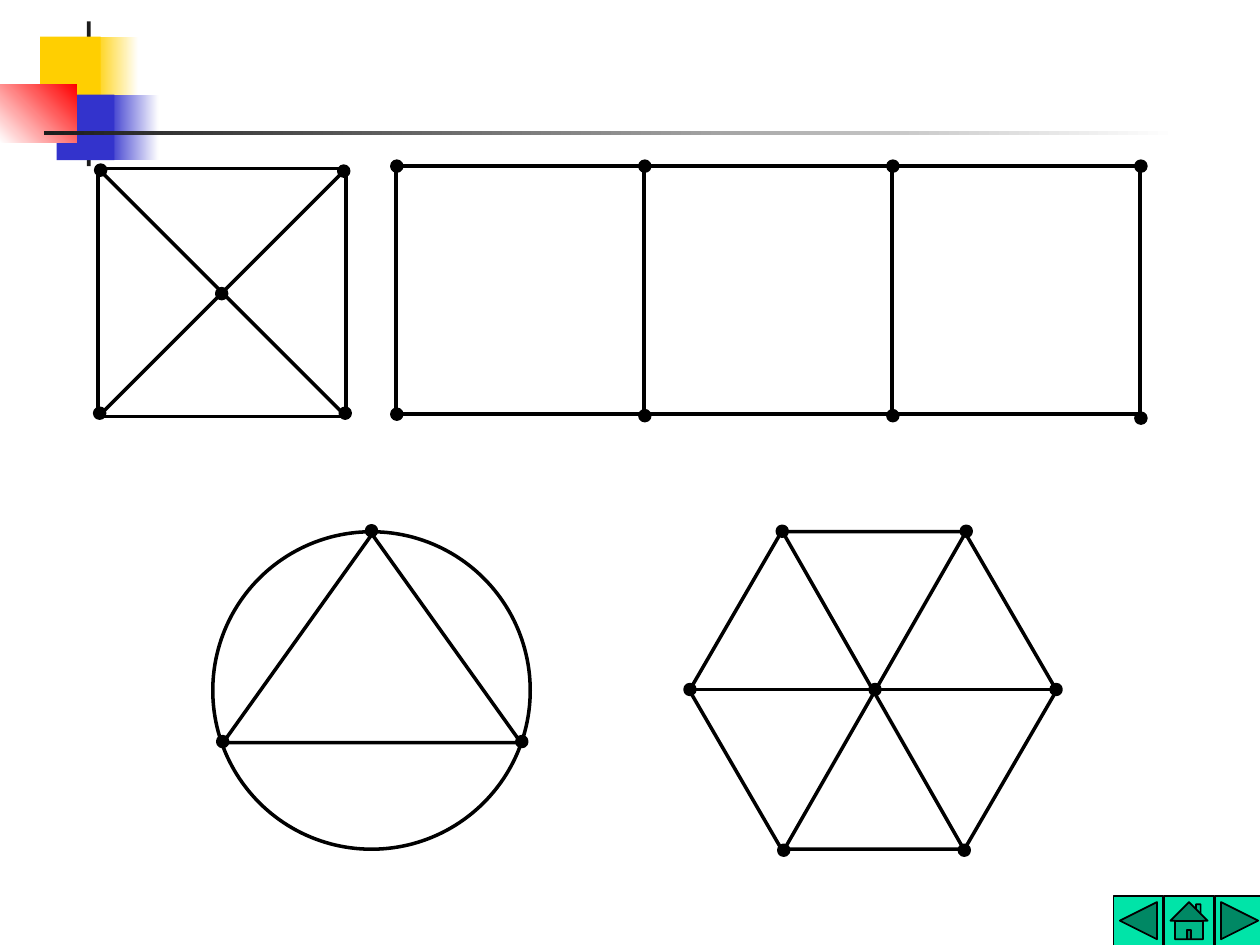
from dataclasses import dataclass

from lxml import etree
from pptx import Presentation
from pptx import util as u
from pptx.dml.color import RGBColor
from pptx.enum import shapes as kinds
from pptx.oxml.ns import qn

SHAPE = kinds.MSO_SHAPE


@dataclass(frozen=True)
class Theme:
    ink: str = "000000"
    dark: str = "1C1C1C"
    paper: str = "FFFFFF"
    yellow: str = "FFCF01"
    blue: str = "3333CC"
    red: str = "FF0000"
    button: str = "00E4A8"
    stroke: float = 2
    button_stroke: float = 1


THEME = Theme()
DOT = 0.2


def color(value):
    return RGBColor.from_string(value)


def style_line(line, width):
    line.color.rgb = color(THEME.ink)
    for name, value in {"width": u.Pt(width)}.items():
        setattr(line, name, value)


def add_form(parent, kind, box, fill=None, stroke=None):
    form = parent.add_shape(kind, *map(u.Cm, box))
    form.shadow.inherit = False
    if fill:
        form.fill.solid()
        form.fill.fore_color.rgb = color(fill)
    else:
        form.fill.background()
    if stroke:
        style_line(form.line, stroke)
    else:
        form.line.fill.background()
    return form


def add_fade(parent, box, start, end, angle=0):
    fade = add_form(parent, SHAPE.RECTANGLE, box)
    fade.fill.gradient()
    fade.fill.gradient_angle = angle
    for stop, value in zip(fade.fill.gradient_stops, (start, end)):
        stop.color.rgb = color(value)


def add_edge(parent, start, end):
    edge = parent.add_connector(kinds.MSO_CONNECTOR.STRAIGHT,
                                *map(u.Cm, (*start, *end)))
    style_line(edge.line, THEME.stroke)
    etree.SubElement(edge._element.spPr, qn("a:effectLst"))


def add_dots(parent, centers):
    for x, y in centers:
        add_form(parent, SHAPE.OVAL, (x - DOT / 2, y - DOT / 2, DOT, DOT),
                 THEME.ink, THEME.stroke)


def add_outline(parent, kind, box):
    return add_form(parent, kind, box, stroke=THEME.stroke)


def draw_corner_decoration(parent):
    add_fade(parent, (1.88, 0.74, 0.91, 1.32), THEME.yellow, THEME.paper)
    add_fade(parent, (2.18, 1.91, 1.02, 1.32), THEME.blue, THEME.paper)
    for box, fill in (((1.75, 0.43, 0.08, 2.92), THEME.dark),
                      ((0.81, 0.74, 1.22, 1.32), THEME.yellow),
                      ((1.14, 1.91, 1.17, 1.32), THEME.blue)):
        add_form(parent, SHAPE.RECTANGLE, box, fill)
    add_fade(parent, (0, 1.7, 1.55, 1.17), THEME.paper, THEME.red, 45)
    add_fade(parent, (0.89, 2.64, 22.86, 0.08), THEME.dark, THEME.paper)


def draw_navigation(parent):
    buttons = (SHAPE.ACTION_BUTTON_BACK_OR_PREVIOUS,
               SHAPE.ACTION_BUTTON_HOME,
               SHAPE.ACTION_BUTTON_FORWARD_OR_NEXT)
    for i, kind in enumerate(buttons):
        add_form(parent, kind, (22.45 + 1.02 * i, 18.06, 1, 1),
                 THEME.button, THEME.button_stroke)


def draw_crossed_square(parent):
    left, top, side = 1.98, 3.4, 5
    right, bottom = left + side, top + side
    add_outline(parent, SHAPE.RECTANGLE, (left, top, side, side))
    add_edge(parent, (left, top), (right, bottom))
    add_edge(parent, (right, top), (left, bottom))
    add_dots(parent, [(2.03, 3.43), (4.47, 5.92), (6.93, 3.45),
                      (2.01, 8.33), (6.96, 8.33)])


def draw_square_strip(parent):
    left, top, side = 7.98, 3.35, 5
    add_outline(parent, SHAPE.RECTANGLE, (left, top, 3 * side, side))
    columns = [left + side * i for i in range(4)]
    for x in columns[1:3]:
        add_edge(parent, (x, top), (x, top + side))
    add_dots(parent, [(x + 0.02, top) for x in columns])
    add_dots(parent, [(x + 0.02, y)
                      for x, y in zip(columns, (8.35, 8.38, 8.38, 8.43))])


def draw_circled_triangle(parent):
    add_outline(parent, SHAPE.OVAL, (4.29, 10.72, 6.4, 6.4))
    add_outline(parent, SHAPE.ISOSCELES_TRIANGLE, (4.5, 10.77, 6, 4.2))
    add_dots(parent, [(7.49, 10.7), (10.52, 14.95), (4.49, 14.95)])


def draw_hexagon_wheel(parent):
    corners = [(15.77, 10.71), (19.48, 10.71), (21.29, 13.9),
               (19.44, 17.14), (15.8, 17.14), (13.91, 13.9)]
    for start, end in zip(corners[:3], corners[3:]):
        add_edge(parent, start, end)
    hexagon = add_outline(parent, SHAPE.HEXAGON, (13.9, 10.72, 7.4, 6.4))
    hexagon.adjustments[0] = 0.29
    add_dots(parent, corners + [(17.64, 13.9)])


def main():
    deck = Presentation()
    deck.slide_width, deck.slide_height = u.Cm(25.4), u.Cm(19.05)
    slide = deck.slides.add_slide(deck.slide_layouts[6])

    # Background decoration and navigation
    draw_corner_decoration(slide.shapes.add_group_shape().shapes)
    draw_navigation(slide.shapes)

    # Graph figures, one group each
    for draw in (draw_crossed_square, draw_square_strip,
                 draw_circled_triangle, draw_hexagon_wheel):
        draw(slide.shapes.add_group_shape().shapes)

    deck.save("out.pptx")


if __name__ == "__main__":
    main()
